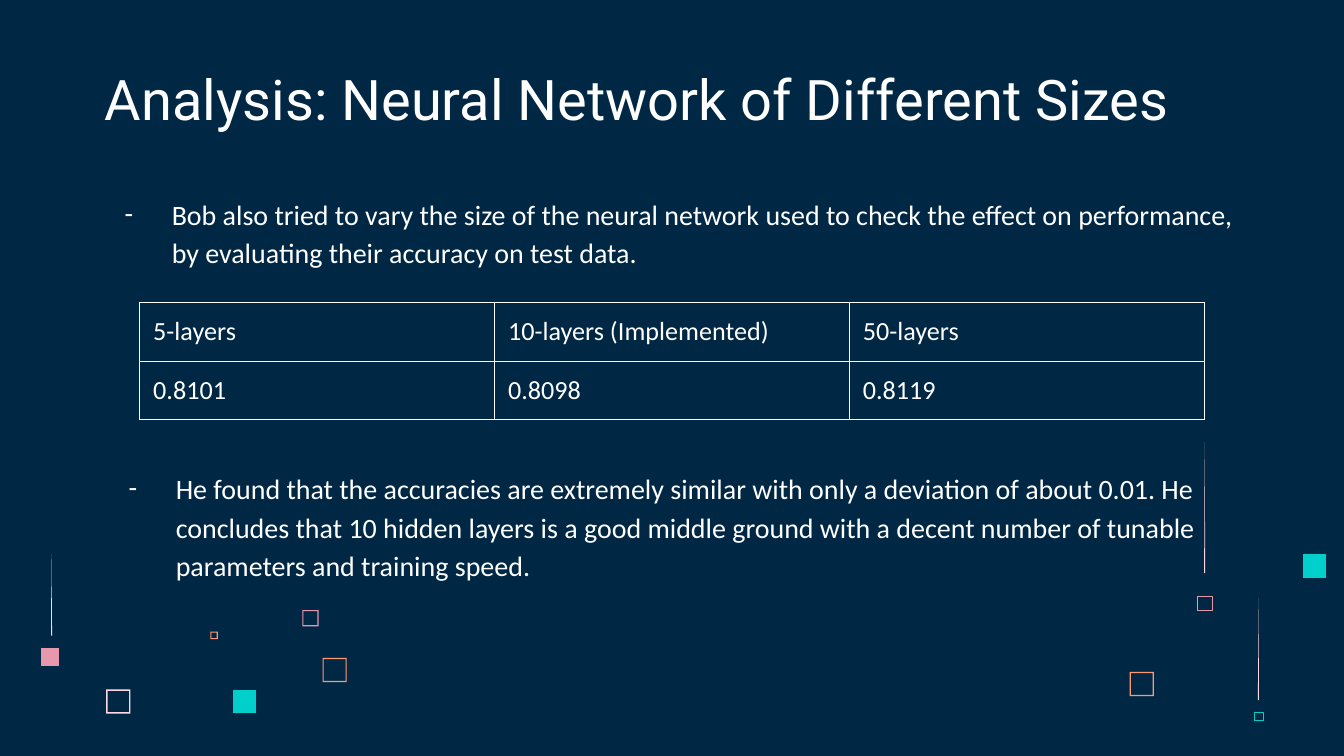
from lxml import etree
from pptx import Presentation
from pptx import util as u
from pptx.dml.color import RGBColor
from pptx.enum import text as t
from pptx.oxml.ns import qn

HEX = {"navy": "002845", "white": "FFFFFF", "blush": "FFD6E1",
       "pink": "E898AC", "coral": "FF9973", "teal": "00CFCC"}
RGB = {name: RGBColor.from_string(code) for name, code in HEX.items()}

# A 16:9 slide, cut into 1000 columns of square cells
WIDE = u.Inches(10)
CELL = WIDE // 1000

deck = Presentation()
deck.slide_width, deck.slide_height = WIDE, WIDE * 9 // 16
slide = deck.slides.add_slide(deck.slide_layouts[5])
slide.background.fill.solid()
slide.background.fill.fore_color.rgb = RGB["navy"]


def draw(loops, fill=None, line=None):
    """Draw closed loops of points, in tenths of a cell, as one outline."""
    pen = slide.shapes.build_freeform(*loops[0][0], scale=CELL / 10)
    for n, loop in enumerate(loops):
        if n:
            pen.move_to(*loop[0])
        pen.add_line_segments(loop[1:], close=True)
    form = pen.convert_to_shape()
    form.shadow.inherit = False
    if fill:
        form.fill.solid()
        form.fill.fore_color.rgb = RGB[fill]
        form.line.fill.background()
    else:
        form.fill.background()
        form.line.color.rgb = RGB[line]
        form.line.width = u.Pt(0.23)


def style(box, place, words, look, anchor):
    """Place a text shape and format its one paragraph."""
    box.left, box.top, box.width, box.height = [n * CELL for n in place]
    frame = box.text_frame
    frame.text = words
    form = {"word_wrap": True, "auto_size": t.MSO_AUTO_SIZE.NONE,
            "vertical_anchor": anchor}
    form.update({"margin_" + side: 10 * CELL
                 for side in ("left", "right", "top", "bottom")})
    for key, val in form.items():
        setattr(frame, key, val)
    para = frame.paragraphs[0]
    para.alignment = t.PP_ALIGN.LEFT
    font = para.runs[0].font
    for key, val in look.items():
        setattr(font, key, val)
    font.color.rgb = RGB["white"]
    return para


# Squares: column, row, side, rim in tenths of a cell; no rim means solid
for x, y, side, rim, hue in [
        (790, 5130, 180, 10, "blush"), (2250, 4540, 120, 8, "pink"),
        (1565, 4700, 56, 8, "coral"), (2400, 4895, 180, 9, "coral"),
        (8405, 5000, 180, 9, "coral"), (1730, 5135, 172, 0, "teal"),
        (9695, 4125, 172, 0, "teal"), (305, 4825, 134, 0, "pink")]:
    far, low = x + side, y + side
    loops = [[(x, y), (x, low), (far, low), (far, y)]]
    if rim:
        loops.append([(far - rim, y + rim), (far - rim, low - rim),
                      (x + rim, low - rim), (x + rim, y + rim)])
    draw(loops, fill=hue)

# Hairline squares
for x, y, wide, high, hue in [(8910, 4435, 110, 105, "pink"),
                              (9335, 5300, 65, 60, "teal")]:
    draw([[(x, y), (x + wide, y), (x + wide, y + high), (x, y + high)]],
         line=hue)

# Falling streaks, sharp at the top
for x, y, high in [(8960, 3290, 975), (380, 4120, 610), (9360, 4450, 760)]:
    draw([[(x + 4, y), (x, y + high), (x + 8, y + high)]], fill="blush")

# Title
style(slide.shapes.title, (68, 45, 872, 63),
      "Analysis: Neural Network of Different Sizes",
      {"name": "Roboto", "size": u.Pt(30)}, t.MSO_ANCHOR.BOTTOM)

# Dashed notes above and below the table
for x, y, words in [
        (68, 133, "Bob also tried to vary the size of the neural network used "
         "to check the effect on performance, by evaluating their accuracy on "
         "test data."),
        (71, 337, "He found that the accuracies are extremely similar with "
         "only a deviation of about 0.01. He concludes that 10 hidden layers "
         "is a good middle ground with a decent number of tunable parameters "
         "and training speed.")]:
    note = slide.shapes.add_textbox(0, 0, CELL, CELL)
    para = style(note, (x, y, 866, 79), words,
                 {"name": "Calibri", "size": u.Pt(15)}, t.MSO_ANCHOR.TOP)
    para.line_spacing = 1.15
    props = para._p.get_or_add_pPr()
    props.set("marL", str(50 * CELL))
    props.set("indent", str(-35 * CELL))
    tint = etree.SubElement(props, qn("a:buClr"))
    etree.SubElement(tint, qn("a:srgbClr"), val=HEX["white"])
    etree.SubElement(props, qn("a:buFont"), typeface="Calibri")
    etree.SubElement(props, qn("a:buChar"), char="-")

# Accuracy table
data = [["5-layers", "10-layers (Implemented)", "50-layers"],
        ["0.8101", "0.8098", "0.8119"]]
table = slide.shapes.add_table(2, 3, 104 * CELL, 225 * CELL,
                               3 * 264 * CELL, 2 * 42 * CELL).table
table.first_row = table.horz_banding = False
for col in table.columns:
    col.width = 264 * CELL
for r, row in enumerate(data):
    for c, words in enumerate(row):
        cell = table.cell(r, c)
        cell.text = words
        for side in ("left", "right", "top", "bottom"):
            setattr(cell, "margin_" + side, 10 * CELL)
        font = cell.text_frame.paragraphs[0].runs[0].font
        for key, val in {"name": "Calibri", "size": u.Pt(14)}.items():
            setattr(font, key, val)
        font.color.rgb = RGB["white"]
        props = cell._tc.get_or_add_tcPr()
        for edge in ("lnL", "lnR", "lnT", "lnB"):
            rule = etree.SubElement(props, qn("a:" + edge), w=str(u.Pt(0.75)))
            ink = etree.SubElement(rule, qn("a:solidFill"))
            etree.SubElement(ink, qn("a:srgbClr"), val=HEX["white"])
        cell.fill.background()

deck.save("out.pptx")
